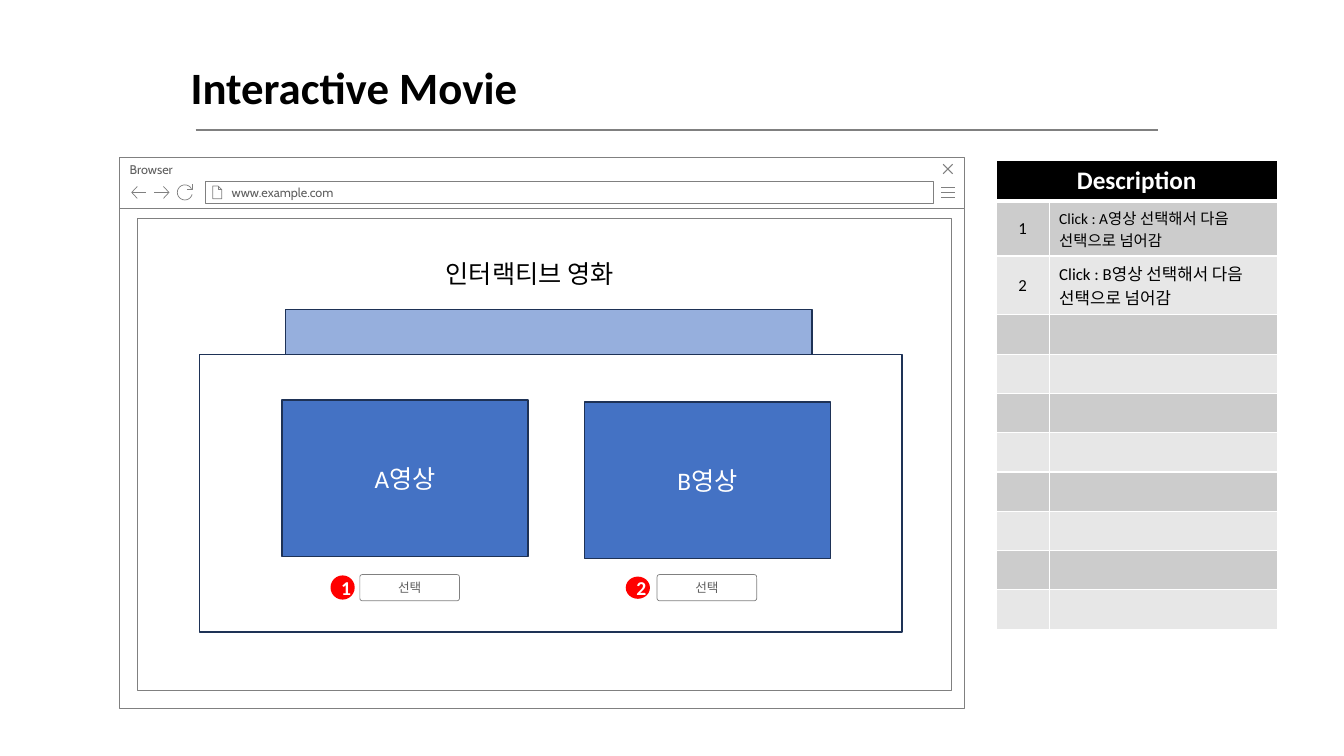
from math import cos, radians, sin

from lxml.etree import SubElement
from pptx import Presentation
from pptx.dml.color import RGBColor
from pptx.enum.shapes import MSO_CONNECTOR, MSO_SHAPE
from pptx.enum.text import MSO_ANCHOR, PP_ALIGN
from pptx.oxml import parse_xml
from pptx.oxml.ns import nsdecls, qn
from pptx.util import Cm, Pt

C = {"white": "FFFFFF", "black": "000000", "gray": "808080", "label": "5F5F5F",
     "blue": "4472C4", "navy": "1E3256", "red": "FF0000",
     "band_dark": "CCCCCC", "band_light": "E7E7E7"}


def rgb(name):
    return RGBColor.from_string(C[name])


def write(tf, text, size=18, color="black", font="Calibri", bold=False,
          align=PP_ALIGN.CENTER, anchor=MSO_ANCHOR.MIDDLE, wrap=True):
    tf.word_wrap = wrap
    tf.vertical_anchor = anchor
    p = tf.paragraphs[0]
    p.alignment = align
    r = p.add_run()
    r.text = text
    r.font.name, r.font.size, r.font.bold = font, Pt(size), bold
    r.font.color.rgb = rgb(color)


def outline(sp, color, width):
    if color:
        sp.line.color.rgb = rgb(color)
        sp.line.width = Pt(width)
    else:
        sp.line.fill.background()


def add_box(s, x, y, w, h, kind=MSO_SHAPE.RECTANGLE, fill="white",
            line="gray", width=0.5):
    sp = s.shapes.add_shape(kind, Cm(x), Cm(y), Cm(w), Cm(h))
    sp.shadow.inherit = False
    sp.fill.solid()
    sp.fill.fore_color.rgb = rgb(fill)
    outline(sp, line, width)
    return sp


def add_icon(s, x, y, strokes, width=0.5):
    """Draw open strokes, given as lists of points relative to x, y."""
    strokes = [[(Cm(x + px), Cm(y + py)) for px, py in st] for st in strokes]
    fb = s.shapes.build_freeform(*strokes[0][0])
    for i, st in enumerate(strokes):
        if i:
            fb.move_to(*st[0])
        fb.add_line_segments(st[1:], close=False)
    sp = fb.convert_to_shape()
    sp.shadow.inherit = False
    sp.fill.background()
    outline(sp, "gray", width)


def add_title(s, x, y, w, h):
    sp = s.shapes.title
    sp.left, sp.top, sp.width, sp.height = Cm(x), Cm(y), Cm(w), Cm(h)
    write(sp.text_frame, "Interactive Movie", size=32, bold=True,
          align=PP_ALIGN.LEFT, anchor=MSO_ANCHOR.TOP, wrap=False)
    # Rule under the title
    rule_y = Cm(y + 1.91)
    ln = s.shapes.add_connector(MSO_CONNECTOR.STRAIGHT, Cm(x + 0.38), rule_y,
                                Cm(x + 24.64), rule_y)
    outline(ln, "gray", 1.5)
    SubElement(ln._element.spPr, qn("a:effectLst"))


def add_browser(s, x, y, w, h, bar_h=1.3):
    add_box(s, x, y + bar_h, w, h - bar_h)
    bar = add_box(s, x, y, w, bar_h)
    write(bar.text_frame, "Browser", size=9, color="label", font="Cabin",
          align=PP_ALIGN.LEFT, anchor=MSO_ANCHOR.TOP)

    # Address field
    field = add_box(s, x + 2.16, y + 0.61, w - 2.95, 0.56)
    field.text_frame.margin_left = Cm(0.66)
    write(field.text_frame, "www.example.com", size=9, color="label",
          font="Cabin", align=PP_ALIGN.LEFT)

    # Menu, close, page, back, forward and reload icons
    mid = y + 0.89
    add_icon(s, x + w - 0.59, mid,
             [[(0, dy), (0.36, dy)] for dy in (-0.13, 0, 0.13)])
    add_icon(s, x + w - 0.54, y + 0.18,
             [[(0.24, 0), (0, 0.24)], [(0, 0), (0.24, 0.24)]], 0.75)
    add_icon(s, x + 2.34, mid - 0.16,
             [[(0.14, 0), (0.14, 0.09), (0.23, 0.09)],
              [(0.14, 0), (0, 0), (0, 0.32), (0.23, 0.32), (0.23, 0.09),
               (0.14, 0)]])
    for left, tip, tail in ((0.3, 0, 0.37), (0.87, 0.37, 0)):
        neck = 0.14 if tip < tail else 0.23
        add_icon(s, x + left, mid, [[(neck, -0.15), (tip, 0), (neck, 0.15)],
                                    [(tip, 0), (tail, 0)]])
    arc = [(0.19 * cos(radians(a)), 0.19 * sin(radians(a)))
           for a in range(-30, -346, -15)]
    add_icon(s, x + 1.64, mid,
             [[(0.19, -0.2), (0.19, -0.08), (0.06, -0.08)], arc])


def add_choice(s, x, y, label, number, button, badge, badge_h):
    """Video tile with a numbered select button; offsets are from x, y."""
    tile = add_box(s, x, y, 6.2, 3.94, fill="blue", line="navy", width=1)
    write(tile.text_frame, label, color="white")
    btn = add_box(s, x + button[0], y + button[1], 2.51, 0.66,
                  MSO_SHAPE.ROUNDED_RECTANGLE)
    btn.adjustments[0] = 0.09
    write(btn.text_frame, "선택", size=9, color="label", font="Cabin")
    dot = add_box(s, x + badge[0], y + badge[1], 0.61, badge_h,
                  MSO_SHAPE.OVAL, fill="red", line=None)
    write(dot.text_frame, number, size=14, color="white", bold=True)


def add_content(s, x, y, w, h):
    add_box(s, x, y, w, h)
    heading = add_box(s, x + 5.29, y + 0.56, 9.22, 1.65, line=None)
    write(heading.text_frame, "인터랙티브 영화")

    # Translucent screen behind the choice panel
    screen = add_box(s, x + 3.74, y + 2.29, 13.28, 7.67, fill="blue",
                     line="navy", width=1)
    clr = screen._element.spPr.find(qn("a:solidFill"))[0]
    SubElement(clr, qn("a:alpha"), val="56000")
    add_box(s, x + 1.58, y + 3.43, 17.7, 6.99, line="navy", width=1)

    add_choice(s, x + 3.66, y + 4.57, "A영상", "1", (1.96, 4.4), (1.22, 4.42), 0.61)
    add_choice(s, x + 11.28, y + 4.62, "B영상", "2", (1.83, 4.35), (1.04, 4.4), 0.56)


def style_cell(cell, fill, bottom=1):
    cell.fill.solid()
    cell.fill.fore_color.rgb = rgb(fill)
    tc_pr = cell._tc.get_or_add_tcPr()
    widths = {"lnL": 1, "lnR": 1, "lnT": 1, "lnB": bottom}
    for i, (tag, width) in enumerate(widths.items()):
        tc_pr.insert(i, parse_xml(
            f'<a:{tag} {nsdecls("a")} w="{Pt(width)}"><a:solidFill>'
            f'<a:srgbClr val="{C["white"]}"/></a:solidFill></a:{tag}>'))


def add_description(s, x, y, w, h):
    notes = [("1", "Click : A영상 선택해서 다음 선택으로 넘어감", 11),
             ("2", "Click : B영상 선택해서 다음 선택으로 넘어감", 12)]
    heights = [0.89] + [1.12] * 2 + [0.99] * 8
    t = s.shapes.add_table(len(heights), 2, Cm(x), Cm(y), Cm(w), Cm(h)).table
    t.columns[0].width, t.columns[1].width = Cm(1.34), Cm(w - 1.34)
    for i, row_h in enumerate(heights):
        t.rows[i].height = Cm(row_h)
        fill = "black" if i == 0 else "band_dark" if i % 2 else "band_light"
        for cell in t.rows[i].cells:
            style_cell(cell, fill, bottom=1 if i else 3)
            if i > len(notes):
                cell.margin_top = cell.margin_bottom = 0

    # Header and numbered notes
    t.cell(0, 0).merge(t.cell(0, 1))
    write(t.cell(0, 0).text_frame, "Description", color="white", bold=True,
          anchor=MSO_ANCHOR.TOP)
    for i, (number, note, size) in enumerate(notes, 1):
        for j, (text, pt, align) in enumerate(
                ((number, 12, PP_ALIGN.CENTER), (note, size, PP_ALIGN.LEFT))):
            cell = t.cell(i, j)
            write(cell.text_frame, text, size=pt, align=align)
            cell.vertical_anchor = MSO_ANCHOR.MIDDLE


def main():
    prs = Presentation()
    prs.slide_width, prs.slide_height = Cm(33.87), Cm(19.05)
    s = prs.slides.add_slide(prs.slide_layouts[5])
    add_title(s, 4.55, 1.37, 9.98, 1.63)
    add_browser(s, 3.02, 3.96, 21.29, 13.89)
    add_content(s, 3.45, 5.51, 20.52, 11.89)
    add_description(s, 25.1, 4.04, 7.09, 11.05)
    prs.save("out.pptx")


if __name__ == "__main__":
    main()
